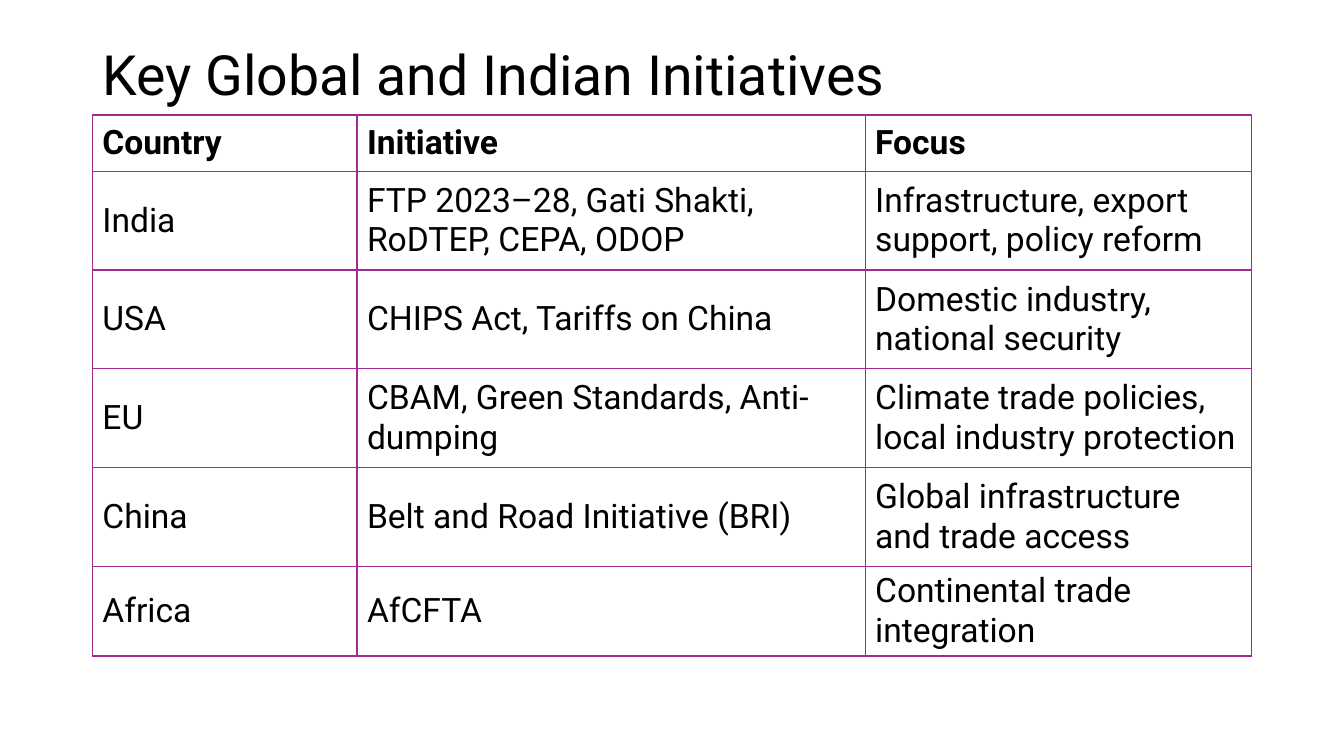
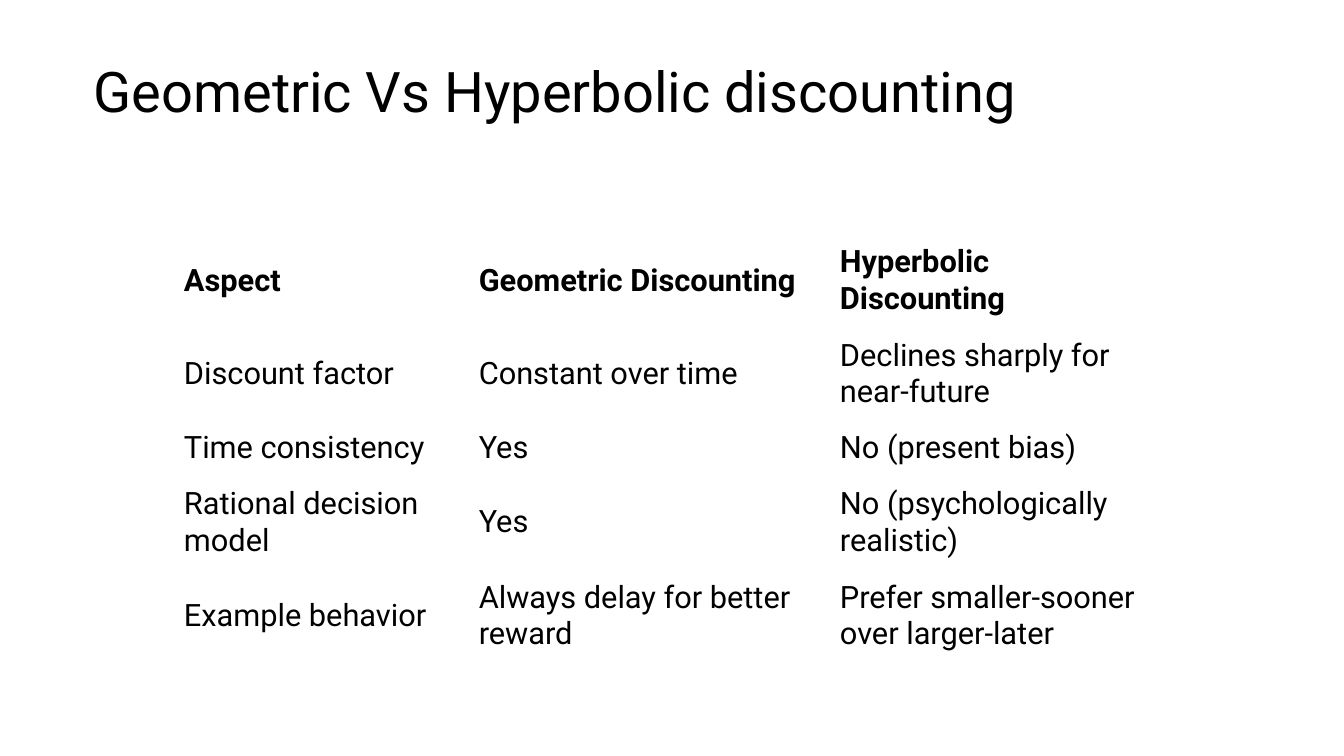
from lxml import etree
from pptx import Presentation
from pptx import util as u
from pptx.dml import color
from pptx.enum import shapes, text
from pptx.oxml import ns

COLUMNS, ROWS = 160, 90  # slide grid, twelve units to the inch
FONT = "Roboto"
INK = "000000"
PAPER = "FFFFFF"
BORDER = "A02B93"


def rgb(value):
    return color.RGBColor.from_string(value)


class Deck:
    """Holds the shared style and the slide being built."""

    def __init__(self):
        self.presentation = Presentation()
        self.presentation.slide_width = u.Inches(13.333)
        self.presentation.slide_height = u.Inches(7.5)
        self.slide = None

    def across(self, columns):
        return round(self.presentation.slide_width * columns / COLUMNS)

    def down(self, rows):
        return round(self.presentation.slide_height * rows / ROWS)

    def add_slide(self):
        layout = self.presentation.slide_layouts.get_by_name("Title Only")
        self.slide = self.presentation.slides.add_slide(layout)

    def format_text(self, paragraph, size, bold=False):
        paragraph.alignment = text.PP_ALIGN.LEFT
        for run in paragraph.runs:
            run.font.name = FONT
            run.font.size = u.Pt(size)
            run.font.bold = bold
            run.font.color.rgb = rgb(INK)

    def title_band(self, height):
        band = self.slide.shapes.add_shape(
            shapes.MSO_SHAPE.RECTANGLE, 0, 0, self.across(COLUMNS), self.down(height))
        band.shadow.inherit = False
        band.fill.solid()
        band.fill.fore_color.rgb = rgb(PAPER)
        band.line.fill.background()
        # The band lies behind the title
        self.slide.shapes.title._element.addprevious(band._element)

    def title(self, words, left, top, width, height, size=40):
        shape = self.slide.shapes.title
        shape.left, shape.top = self.across(left), self.down(top)
        shape.width, shape.height = self.across(width), self.down(height)
        frame = shape.text_frame
        frame.text = words
        frame.word_wrap = True
        frame.auto_size = text.MSO_AUTO_SIZE.NONE
        frame.vertical_anchor = text.MSO_ANCHOR.MIDDLE
        frame.paragraphs[0].line_spacing = 0.9
        self.format_text(frame.paragraphs[0], size)

    def outline_cell(self, cell, hex_color, points=1):
        properties = cell._tc.get_or_add_tcPr()
        for side in ("a:lnL", "a:lnR", "a:lnT", "a:lnB"):
            line = etree.SubElement(properties, ns.qn(side), w=str(u.Pt(points)))
            fill = etree.SubElement(line, ns.qn("a:solidFill"))
            etree.SubElement(fill, ns.qn("a:srgbClr"), val=hex_color)

    def table(self, rows, left, top, widths, heights, size, margins, border=None):
        frame = self.slide.shapes.add_table(
            len(rows), len(widths), self.across(left), self.down(top),
            self.across(sum(widths)), self.down(sum(heights)))
        table = frame.table
        table.horz_banding = False
        for column, width in zip(table.columns, widths):
            column.width = self.across(width)
        for row, height in zip(table.rows, heights):
            row.height = self.down(height)
        side, edge = margins
        for row_index, row in enumerate(rows):
            for column_index, words in enumerate(row):
                cell = table.cell(row_index, column_index)
                cell.text_frame.text = words
                cell.vertical_anchor = text.MSO_ANCHOR.MIDDLE
                cell.margin_left = cell.margin_right = self.across(side)
                cell.margin_top = cell.margin_bottom = self.down(edge)
                # Borders must come before the fill
                if border:
                    self.outline_cell(cell, border)
                cell.fill.background()
                self.format_text(cell.text_frame.paragraphs[0], size,
                                 bold=row_index == 0)


INITIATIVES = [
    ("Country", "Initiative", "Focus"),
    ("India", "FTP 2023–28, Gati Shakti, RoDTEP, CEPA, ODOP",
     "Infrastructure, export support, policy reform"),
    ("USA", "CHIPS Act, Tariffs on China", "Domestic industry, national security"),
    ("EU", "CBAM, Green Standards, Anti-dumping",
     "Climate trade policies, local industry protection"),
    ("China", "Belt and Road Initiative (BRI)",
     "Global infrastructure and trade access"),
    ("Africa", "AfCFTA", "Continental trade integration"),
]

DISCOUNTING = [
    ("Aspect", "Geometric Discounting", "Hyperbolic Discounting"),
    ("Discount factor", "Constant over time", "Declines sharply for near-future"),
    ("Time consistency", "Yes", "No (present bias)"),
    ("Rational decision model", "Yes", "No (psychologically realistic)"),
    ("Example behavior", "Always delay for better reward",
     "Prefer smaller-sooner over larger-later"),
]


def main():
    deck = Deck()

    # Trade initiatives by country
    deck.add_slide()
    deck.title("Key Global and Indian Initiatives", 11, 4.7, 138, 9, size=39.6)
    deck.table(INITIATIVES, 11, 13.7, widths=(31.5, 60.5, 46),
               heights=(6.7, *[11.75] * 4, 10.7), size=24,
               margins=(1.2, 0.6), border=BORDER)

    # Two kinds of discounting
    deck.add_slide()
    deck.title_band(22.3)
    deck.title("Geometric Vs Hyperbolic discounting", 9.95, 3.6, 137.5, 15.2)
    deck.table(DISCOUNTING, 20.4, 27.85, widths=(35.1, 43, 41),
               heights=(11.1, 11.1, 6.6, 11.1, 11.1), size=22,
               margins=(1.5, 0.75))

    deck.presentation.save("out.pptx")


if __name__ == "__main__":
    main()
